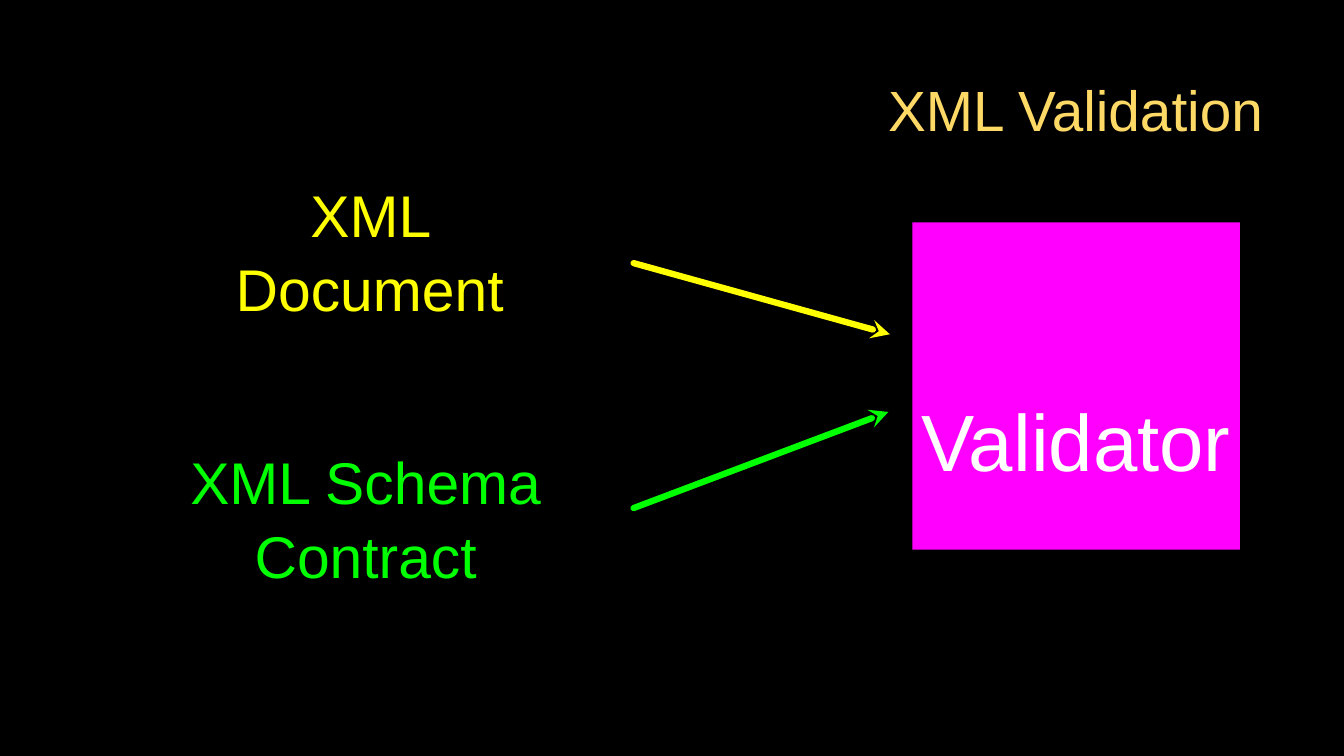
from lxml.etree import SubElement
from pptx import Presentation
from pptx.dml.color import RGBColor as Rgb
from pptx.enum.shapes import MSO_CONNECTOR as Connector, MSO_SHAPE as Preset
from pptx.enum.text import MSO_ANCHOR as Anchor, PP_ALIGN as Align
from pptx.oxml.ns import qn
from pptx.util import Cm, Pt

COLOURS = {
    "background": "000000",
    "title": "FFD966",
    "document": "FFFF00",
    "schema": "00FF00",
    "validator": "FF00FF",
    "label": "FFFFFF",
}


class ValidationSlide:
    font = "Arial"
    line_spacing = 1.05
    arrow_width = Pt(6)

    def __init__(self, deck):
        self.slide = deck.slides.add_slide(deck.slide_layouts[6])
        self.paint(self.slide.background.fill, "background")

    def paint(self, fill, colour):
        fill.solid()
        fill.fore_color.rgb = Rgb.from_string(COLOURS[colour])

    def set_text(self, frame, wording, size, colour, top_inset):
        frame.word_wrap = True
        frame.vertical_anchor = Anchor.MIDDLE
        frame.margin_left = frame.margin_right = frame.margin_bottom = 0
        frame.margin_top = Cm(top_inset)
        paragraph = frame.paragraphs[0]
        paragraph.alignment = Align.CENTER
        paragraph.line_spacing = self.line_spacing
        run = paragraph.add_run()
        run.text = wording
        run.font.name = self.font
        run.font.size = Pt(size)
        run.font.color.rgb = Rgb.from_string(COLOURS[colour])

    def text(self, wording, place, size, colour):
        box = self.slide.shapes.add_textbox(*map(Cm, place))
        self.set_text(box.text_frame, wording, size, colour, 0.18)

    def block(self, wording, place, size, colour, top_inset):
        square = self.slide.shapes.add_shape(Preset.RECTANGLE, *map(Cm, place))
        square.shadow.inherit = False
        self.paint(square.fill, colour)
        square.line.fill.background()
        self.set_text(square.text_frame, wording, size, "label", top_inset)

    def arrow(self, start, end, colour):
        arrow = self.slide.shapes.add_connector(
            Connector.STRAIGHT, *map(Cm, start + end))
        arrow.line.width = self.arrow_width
        self.paint(arrow.line.fill, colour)
        outline = arrow.line._get_or_add_ln()
        outline.set("cap", "rnd")
        SubElement(outline, qn("a:round"))
        SubElement(outline, qn("a:tailEnd"), type="stealth")
        SubElement(arrow._element.spPr, qn("a:effectLst"))


def main():
    deck = Presentation()
    deck.slide_width, deck.slide_height = Cm(45.16), Cm(25.4)
    page = ValidationSlide(deck)
    page.block("Validator", (30.66, 7.47, 11, 11), 76, "validator", 3.45)
    page.text("XML Schema Contract", (3.78, 16, 17.02, 2.54), 56, "schema")
    page.text("XML Document", (5.77, 7.01, 13.31, 2.54), 56, "document")
    page.arrow((21.29, 8.84), (29.9, 11.23), "document")
    page.arrow((21.29, 17.07), (29.85, 13.84), "schema")
    page.text("XML Validation", (29.36, 2.11, 13.56, 2.79), 54, "title")
    deck.save("out.pptx")


if __name__ == "__main__":
    main()
